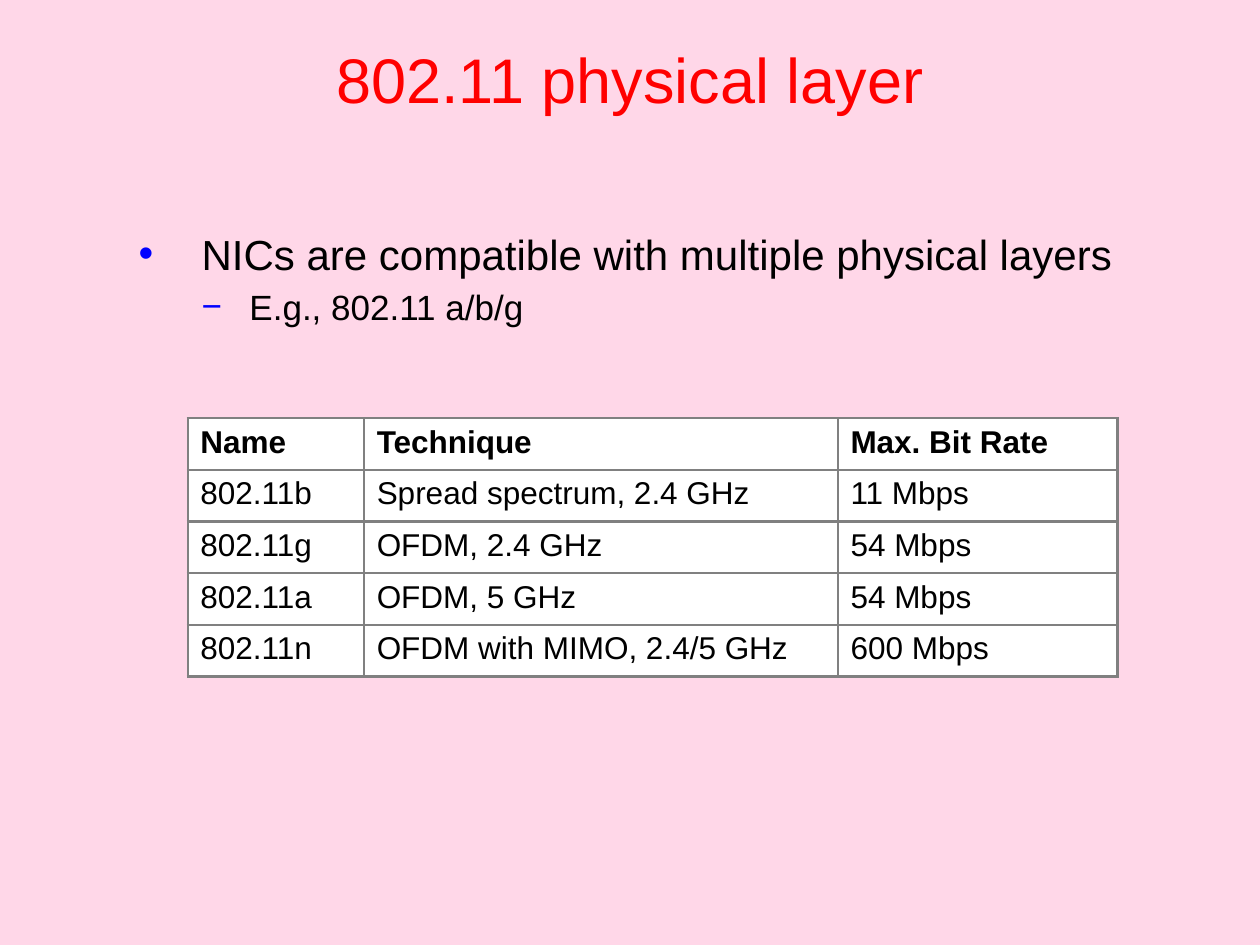
from pptx import Presentation
from pptx import util as u
from pptx.dml.color import RGBColor
from pptx.enum import text
from lxml import etree

PINK = RGBColor(0xFF, 0xD7, 0xE8)
RED = RGBColor(0xFF, 0, 0)
BLUE = RGBColor(0, 0, 0xFF)
BLACK = RGBColor(0, 0, 0)
WHITE = RGBColor(0xFF, 0xFF, 0xFF)
GREY = RGBColor(0x80, 0x80, 0x80)
NS = "http://schemas.openxmlformats.org/drawingml/2006/main"


def style(para, size, color, bold=False):
    font = para.font
    font.name, font.size, font.bold = "Arial", u.Pt(size), bold
    font.color.rgb = color


def add_xml(node, xml):
    node.append(etree.fromstring(f'<a:x xmlns:a="{NS}">{xml}</a:x>')[0])


deck = Presentation()
deck.slide_width, deck.slide_height = u.Inches(10), u.Inches(7.5)
slide = deck.slides.add_slide(deck.slide_layouts[1])
slide.background.fill.solid()
slide.background.fill.fore_color.rgb = PINK

title, body = slide.placeholders
title.left, title.top = 0, 0
title.width, title.height = deck.slide_width, u.Inches(1.25)
title.text_frame.text = "802.11 physical layer"
title.text_frame.vertical_anchor = text.MSO_ANCHOR.MIDDLE
head = title.text_frame.paragraphs[0]
head.alignment = text.PP_ALIGN.CENTER
style(head, 36, RED)

body.left, body.top = u.Inches(1), u.Inches(1.76)
body.width, body.height = u.Inches(8.52), u.Inches(5.03)
frame = body.text_frame
frame.auto_size = text.MSO_AUTO_SIZE.NONE
points = [
    ("NICs are compatible with multiple physical layers", 24, 0.5, 0.5, 6, "•"),
    ("E.g., 802.11 a/b/g", 20, 0.88, 0.38, 4, "−"),
]
frame.text = "\n".join(point[0] for point in points)
for level, (para, point) in enumerate(zip(frame.paragraphs, points)):
    _, size, left, hang, gap, mark = point
    para.level = level
    para.space_before = u.Pt(gap)
    props = para._p.get_or_add_pPr()
    props.set("marL", str(u.Inches(left)))
    props.set("indent", str(-u.Inches(hang)))
    add_xml(props, f'<a:buClr><a:srgbClr val="{BLUE}"/></a:buClr>')
    add_xml(props, '<a:buFont typeface="Arial"/>')
    add_xml(props, f'<a:buChar char="{mark}"/>')
    style(para, size, BLACK)

rows = [
    ("Name", "Technique", "Max. Bit Rate"),
    ("802.11b", "Spread spectrum, 2.4 GHz", "11 Mbps"),
    ("802.11g", "OFDM, 2.4 GHz", "54 Mbps"),
    ("802.11a", "OFDM, 5 GHz", "54 Mbps"),
    ("802.11n", "OFDM with MIMO, 2.4/5 GHz", "600 Mbps"),
]
widths = [1.4, 3.76, 2.22]
table = slide.shapes.add_table(
    len(rows), len(widths), u.Inches(1.49), u.Inches(3.32),
    u.Inches(sum(widths)), u.Inches(0.41 * len(rows))).table
table.first_row = table.horz_banding = False
for col, width in zip(table.columns, widths):
    col.width = u.Inches(width)
for r, row in enumerate(rows):
    for c, label in enumerate(row):
        cell = table.cell(r, c)
        cell.text = label
        style(cell.text_frame.paragraphs[0], 18, BLACK, r == 0)
        props = cell._tc.get_or_add_tcPr()
        for side in "LRTB":
            add_xml(props, f'<a:ln{side} w="{u.Pt(1.5)}"><a:solidFill>'
                    f'<a:srgbClr val="{GREY}"/></a:solidFill></a:ln{side}>')
        cell.fill.solid()
        cell.fill.fore_color.rgb = WHITE

deck.save("out.pptx")
